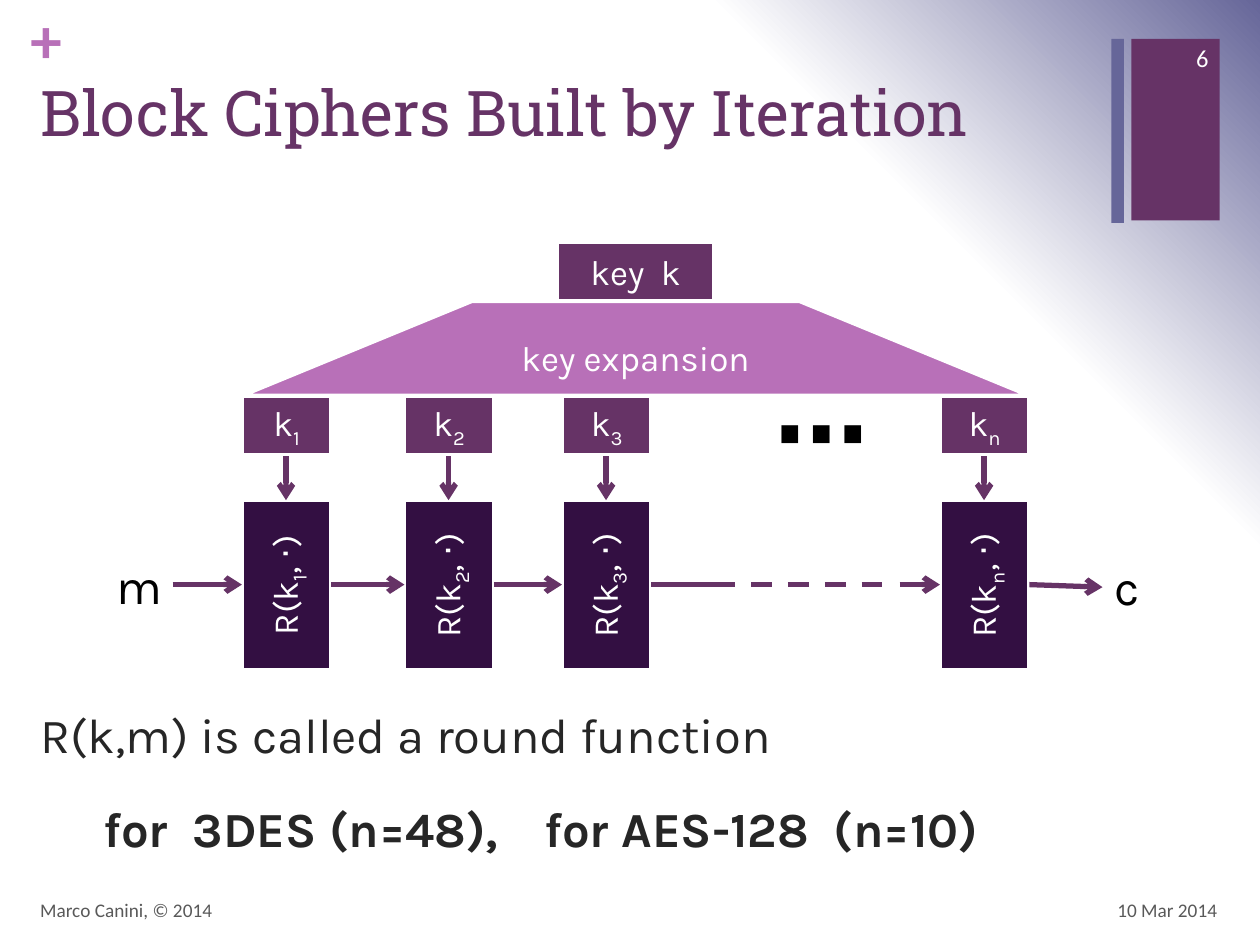
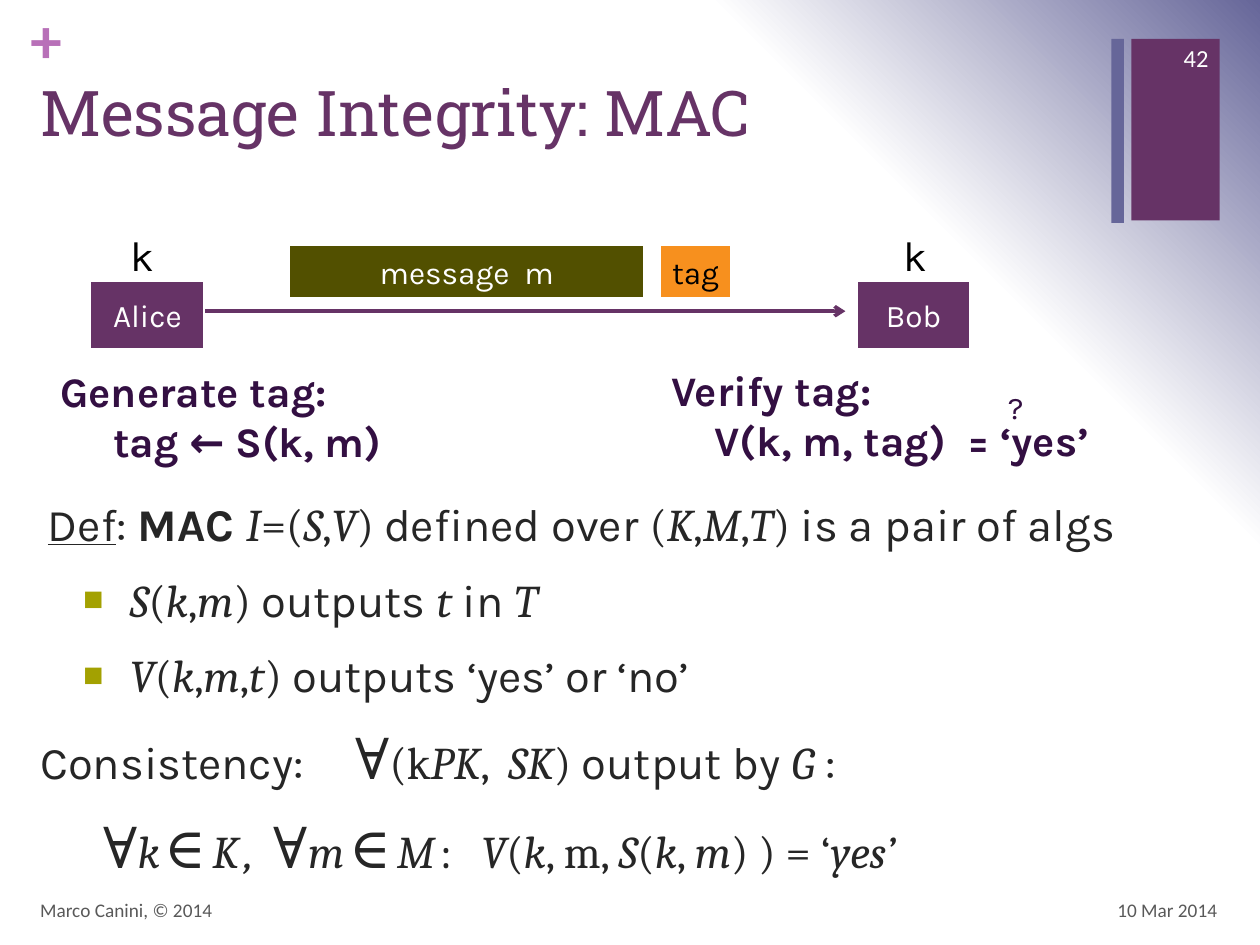
from pptx import Presentation
from pptx.dml.color import RGBColor
from pptx.enum import dml, shapes, text
from pptx.oxml import parse_xml
from pptx.oxml.ns import nsdecls, qn
from pptx.util import Pt

PX = 9144  # 100 px to the inch
PLUM, DARK, ORCHID, SLATE = "663366", "330F42", "B870B8", "666699"
WHITE, BLACK, INK, GREY = "FFFFFF", "000000", "262626", "595959"
OLIVE, ORANGE, LIME = "525000", "F7901E", "A3A101"
LEFT, MID, RIGHT = text.PP_ALIGN.LEFT, text.PP_ALIGN.CENTER, text.PP_ALIGN.RIGHT
RECT, TRAP = shapes.MSO_SHAPE.RECTANGLE, shapes.MSO_SHAPE.TRAPEZOID
hue = RGBColor.from_string


def write(frame, paras, size, color, font="Karla", align=LEFT, gap=0):
    """Each para is (runs, options); each run is (words, flags).
    Flags: b bold, i italic, u underline, c Cambria, L large, s spaced, _ subscript."""
    frame.word_wrap = True
    frame.auto_size = text.MSO_AUTO_SIZE.NONE
    for n, (runs, opts) in enumerate(paras):
        para = frame.add_paragraph() if n else frame.paragraphs[0]
        para.alignment, para.space_before = align, Pt(gap)
        props = para._p.get_or_add_pPr()
        props.set("marL", str(opts.get("left", 0) * PX))
        props.set("indent", str(opts.get("first", 0) * PX))
        marks = ["<a:buNone {}/>"]
        if "bullet" in opts:
            marks = ['<a:buClr {}><a:srgbClr val="%s"/></a:buClr>' % LIME,
                     '<a:buSzPct {} val="75000"/>',
                     '<a:buChar {} char="%s"/>' % opts["bullet"]]
        if "tabs" in opts:
            stops = "".join('<a:tab pos="%d" algn="l"/>' % (t * PX) for t in opts["tabs"])
            marks.append("<a:tabLst {}>" + stops + "</a:tabLst>")
        for mark in marks:
            props.append(parse_xml(mark.format(nsdecls("a"))))
        for words, flags in runs:
            run = para.add_run()
            run.text = words
            face = run.font
            face.name = "Cambria" if "c" in flags else font
            face.size = Pt(size * 1.25 if "L" in flags else size)
            face.color.rgb = hue(color)
            face.bold, face.italic = "b" in flags, "i" in flags
            if "u" in flags:
                face.underline = True
            if "s" in flags:
                run._r.get_or_add_rPr().set("spc", "300")
            if "_" in flags:
                run._r.get_or_add_rPr().set("baseline", "-25000")


def box(slide, at, fill, runs=(), size=20, color=WHITE, kind=RECT, edge=True):
    shape = slide.shapes.add_shape(kind, *[v * PX for v in at])
    shape.shadow.inherit = False
    shape.fill.solid()
    shape.fill.fore_color.rgb = hue(fill)
    if edge:
        shape.line.color.rgb = hue(WHITE)
        shape.line.width = Pt(2.25)
    else:
        shape.line.fill.background()
    frame = shape.text_frame
    frame.margin_left = frame.margin_right = 0
    frame.vertical_anchor = text.MSO_ANCHOR.MIDDLE
    if runs:
        write(frame, [(runs, {})], size, color, align=MID)
    return shape


deck = Presentation()
deck.slide_width, deck.slide_height = 1000 * PX, 750 * PX

# Shared background: white corner fading to slate at top right
back = deck.slide_master._element.cSld
for old in back.findall(qn("p:bg")):
    back.remove(old)
stops = "".join('<a:gs pos="%d"><a:srgbClr val="%s"/></a:gs>' % s
                for s in [(0, WHITE), (75000, WHITE), (100000, SLATE)])
back.insert(0, parse_xml(
    '<p:bg %s><p:bgPr><a:gradFill rotWithShape="1"><a:gsLst>%s</a:gsLst>'
    '<a:path path="circle"><a:fillToRect t="100000" r="100000"/></a:path>'
    '</a:gradFill><a:effectLst/></p:bgPr></p:bg>' % (nsdecls("p", "a"), stops)))

# Shared parts: bands, plus sign, title, body, footers
pages = []
for title, number, top, high in [("Block Ciphers Built by Iteration", "6", 554, 148),
                                 ("Message Integrity: MAC", "42", 389, 313)]:
    slide = deck.slides.add_slide(deck.slide_layouts[1])
    box(slide, (898, 31, 70, 144), PLUM, edge=False)
    box(slide, (882, 31, 10, 146), SLATE, edge=False)
    head, body = slide.shapes.title, slide.placeholders[1]
    for holder, at in [(head, (22, 53, 859, 122)), (body, (22, top, 954, high))]:
        holder.left, holder.top, holder.width, holder.height = [v * PX for v in at]
        holder.text_frame.vertical_anchor = text.MSO_ANCHOR.TOP
    write(head.text_frame, [([(title, "")], {})], 36, PLUM, "Roboto Slab")

    plus = slide.shapes.add_textbox(24 * PX, 0, 29 * PX, 61 * PX).text_frame
    plus.margin_left = plus.margin_top = plus.margin_right = plus.margin_bottom = 0
    write(plus, [([("+", "b")], {})], 36, ORCHID, "Calibri")

    for words, at, size, color, align in [
            ("10 Mar 2014", (743, 702, 233, 40), 11, GREY, RIGHT),
            ("Marco Canini, © 2014", (22, 702, 670, 40), 11, GREY, LEFT),
            (number, (908, 26, 61, 40), 14, WHITE, RIGHT)]:
        frame = slide.shapes.add_textbox(*[v * PX for v in at]).text_frame
        frame.vertical_anchor = text.MSO_ANCHOR.MIDDLE
        write(frame, [([(words, "")], {})], size, color, "Calibri", align)
    pages.append((slide, body.text_frame))
(cipher, rounds), (mac, rules) = pages

# Slide 1: body
write(rounds, [
    ([("R(k,m) is called a round function", "")], {}),
    ([("\tfor  3DES (n=48),\tfor AES-128  (n=10)", "b")], {"tabs": [100, 474]}),
], 28, INK, gap=20)

# Slide 1: key expansion and rounds
box(cipher, (442, 192, 125, 47), PLUM, [("key  k", "")])
fan = box(cipher, (192, 239, 625, 75), ORCHID, [("key expansion", "")], kind=TRAP)
fan.adjustments[0] = 2.433
lines = []  # slide, start and end, width, dashed, arrowhead
for x, sub in [(192, "1"), (321, "2"), (446, "3"), (746, "n")]:
    box(cipher, (x, 314, 71, 47), PLUM, [("k", ""), (sub, "_")])
    step = box(cipher, (x - 32, 429, 135, 71), DARK,
               [("R(k", ""), (sub, "_"), (", ⋅)", "")])
    step.rotation = 270
    lines.append((cipher, (x + 35, 362, x + 35, 397), 3, False, True))

# Flow from m to c
for x, end, drop, dash, tip in [
        (137, 192, 0, False, True), (263, 321, 0, False, True),
        (392, 446, 0, False, True), (517, 575, 0, False, False),
        (567, 700, 0, True, False), (714, 746, 0, False, True),
        (817, 875, 2, False, True)]:
    lines.append((cipher, (x, 464, end, 464 + drop), 3, dash, tip))

# Slide 2: exchange between the two parties
for x, name in [(71, "Alice"), (679, "Bob")]:
    box(mac, (x, 222, 92, 56), PLUM, [(name, "")], 18)
lines.append((mac, (163, 247, 671, 247), 2, False, True))
box(mac, (229, 194, 283, 43), OLIVE, [("message  m", "")], 18)
box(mac, (523, 194, 58, 43), ORANGE, [("tag", "")], 18, BLACK)

# Free labels on both slides
for slide, at, paras, size, color in [
        (cipher, (83, 436, 53, 57), [([("m", "")], {})], 28, BLACK),
        (cipher, (875, 437, 42, 57), [([("c", "")], {})], 28, BLACK),
        (cipher, (605, 291, 58, 101), [([("⋯", "b")], {})], 54, BLACK),
        (mac, (94, 177, 38, 50), [([("k", "")], {})], 24, BLACK),
        (mac, (707, 177, 38, 50), [([("k", "")], {})], 24, BLACK),
        (mac, (38, 285, 358, 91), [([("Generate tag:", "b")], {}),
                                   ([("tag ← S(k, m)", "b")], {"left": 42})], 24, DARK),
        (mac, (523, 284, 395, 91), [([("Verify tag:", "b")], {}),
                                    ([("V(k, m, tag)  = ‘yes’", "b")], {"left": 34})], 24, DARK),
        (mac, (790, 303, 32, 40), [([("?", "")], {})], 18, DARK)]:
    spot = slide.shapes.add_textbox(*[v * PX for v in at])
    write(spot.text_frame, paras, size, color)

# Slide 2: definition and consistency
item = {"left": 71, "first": -37, "bullet": "■"}
write(rules, [
    ([("Def", "u"), (": ", ""), ("MAC ", "b"), ("I", "ci"), ("=(", "c"), ("S", "ci"),
      (",", "c"), ("V", "ci"), (") ", "c"), ("defined over ", ""), ("(", "c"),
      ("K", "ci"), (",", "c"), ("M", "ci"), (",", "c"), ("T", "ci"), (")", "c"),
      (" is a pair of algs", "")], {"left": 6}),
    ([("S", "ci"), ("(", "c"), ("k", "ci"), (",", "c"), ("m", "ci"), (")", "c"),
      (" outputs ", ""), ("t", "ci"), (" in ", ""), ("T", "ci")], item),
    ([("V", "ci"), ("(", "c"), ("k", "ci"), (",", "c"), ("m", "ci"), (",", "c"),
      ("t", "ci"), (")", "c"), (" outputs ‘yes’ or ‘no’", "")], item),
    ([("Consistency:\t", ""), ("∀", "cL"), ("(k", "c"), ("PK", "ci"), (",  ", "c"),
      ("SK", "ci"), (")", "c"), (" output by ", ""), ("G", "ci"), (" :", "")],
     {"tabs": [244]}),
    ([("\t", ""), ("∀", "cL"), ("k", "cis"), ("∈", "cLs"), ("K, ", "cis"), ("∀", "cL"),
      ("m", "cis"), ("∈", "cLs"), ("M", "cis"), (":\t", "c"), ("V", "ci"), ("(", "c"),
      ("k", "ci"), (", m, ", "c"), ("S", "ci"), ("(", "c"), ("k", "ci"), (", ", "c"),
      ("m", "ci"), (") ) = ‘", "c"), ("yes’", "ci")], {"tabs": [200, 517]}),
], 25.9, INK, gap=12)

# Lines and arrows
for slide, ends, width, dash, tip in lines:
    link = slide.shapes.add_connector(shapes.MSO_CONNECTOR.STRAIGHT, *[v * PX for v in ends])
    link.line.color.rgb = hue(PLUM)
    link.line.width = Pt(width)
    if dash:
        link.line.dash_style = dml.MSO_LINE.DASH
    if tip:
        link.line._get_or_add_ln().append(
            parse_xml('<a:tailEnd %s type="arrow"/>' % nsdecls("a")))
    link._element.spPr.append(parse_xml("<a:effectLst %s/>" % nsdecls("a")))

deck.save("out.pptx")
